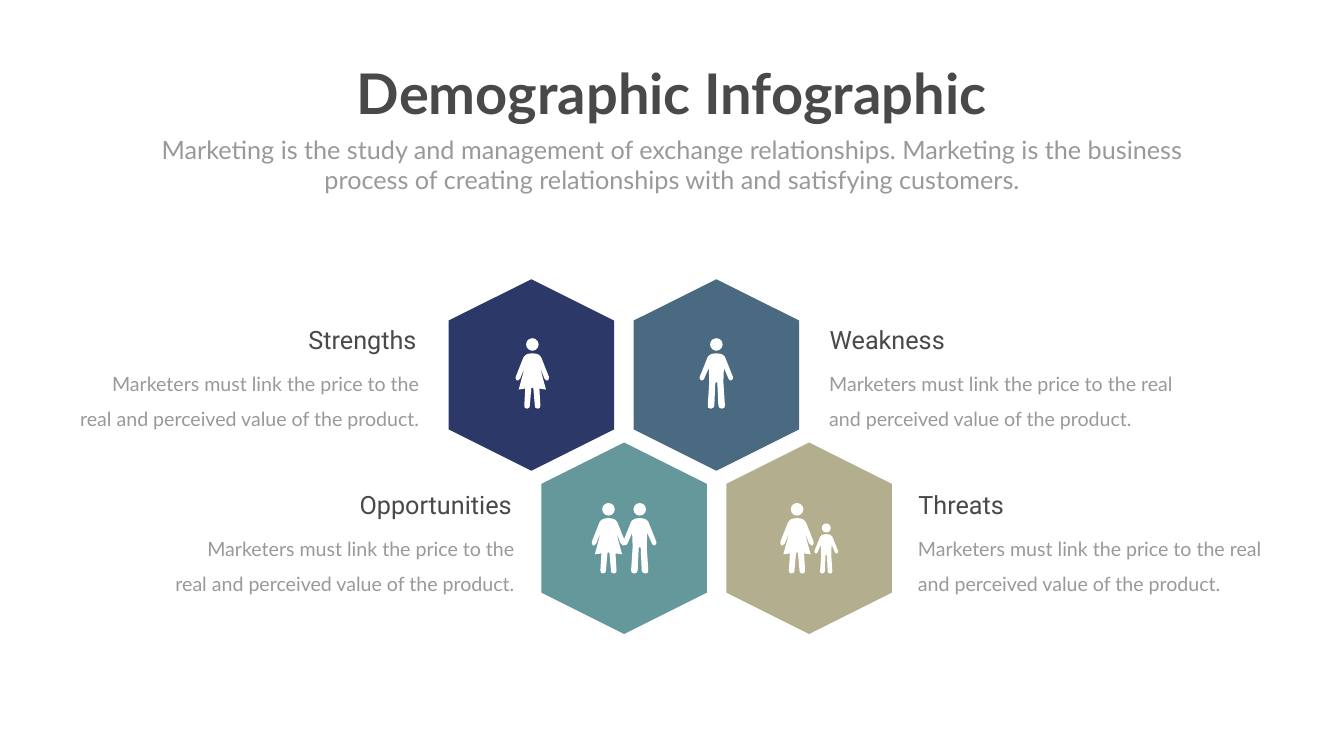
import pptx
import pptx.dml.color
import pptx.enum.shapes
import pptx.enum.text
import pptx.util

Inches = pptx.util.Inches
Shape = pptx.enum.shapes.MSO_SHAPE
Align = pptx.enum.text.PP_ALIGN

# Right half of each body, from neck to crotch: offsets from the neck in inches.
MAN = [(0, 0), (0.08, 0.01), (0.13, 0.03), (0.16, 0.06), (0.17, 0.07),
       (0.33, 0.47), (0.33, 0.5), (0.31, 0.53), (0.29, 0.54), (0.26, 0.53),
       (0.24, 0.5), (0.15, 0.29), (0.14, 0.57), (0.17, 1.03), (0.16, 1.08),
       (0.11, 1.1), (0.06, 1.08), (0.04, 1.04), (0.02, 0.59), (0, 0.57)]
WOMAN = [(0, 0), (0.08, 0.01), (0.13, 0.03), (0.16, 0.06), (0.18, 0.09),
         (0.33, 0.47), (0.33, 0.5), (0.31, 0.54), (0.28, 0.54), (0.24, 0.5),
         (0.15, 0.27), (0.27, 0.72), (0.14, 0.7), (0.16, 1.04), (0.15, 1.08),
         (0.11, 1.1), (0.06, 1.08), (0.05, 1.04), (0.02, 0.69), (0, 0.68)]


def color(value):
    """Turn a hex string into a colour."""
    return pptx.dml.color.RGBColor.from_string(value)


def write(box, text, size, ink, font="Lato", bold=False, align=Align.LEFT, spacing=None):
    """Write one formatted paragraph into a box."""
    para = box.text_frame.paragraphs[0]
    para.alignment = align
    if spacing:
        para.line_spacing = spacing
    span = para.add_run()
    span.text = text
    span.font.name = font
    span.font.size = pptx.util.Pt(size)
    span.font.bold = bold
    span.font.color.rgb = color(ink)


class Infographic:
    """Holds the style and the current slide."""

    dark, gray, white = "494949", "999999", "FFFFFF"

    def __init__(self, page):
        """Keep the page to draw on."""
        self.shapes = page.shapes

    def paint(self, shape, fill):
        """Give a shape a plain fill without line or shadow."""
        shape.shadow.inherit = False
        shape.fill.solid()
        shape.fill.fore_color.rgb = color(fill)
        shape.line.fill.background()

    def text(self, left, top, width, height, text, size, ink, wrap=True, **style):
        """Add a text box."""
        box = self.shapes.add_textbox(*map(Inches, (left, top, width, height)))
        box.text_frame.word_wrap = wrap
        box.text_frame.auto_size = pptx.enum.text.MSO_AUTO_SIZE.SHAPE_TO_FIT_TEXT
        write(box, text, size, ink, **style)

    def hexagon(self, center, middle, fill):
        """Add a hexagon standing on its point."""
        length, breadth = 3.8, 3.28
        shape = self.shapes.add_shape(
            Shape.HEXAGON, Inches(center - length / 2), Inches(middle - breadth / 2),
            Inches(length), Inches(breadth))
        shape.rotation = 90
        self.paint(shape, fill)

    def person(self, half, center, feet, scale=1):
        """Add a body, mirrored from its right half, and a head."""
        neck = feet - 1.1 * scale
        outline = half + [(-x, y) for x, y in reversed(half[1:-1])]
        points = [(Inches(center + x * scale), Inches(neck + y * scale)) for x, y in outline]
        builder = self.shapes.build_freeform(*points[0])
        builder.add_line_segments(points[1:])
        self.paint(builder.convert_to_shape(), self.white)
        head = 0.25 * scale
        shape = self.shapes.add_shape(
            Shape.OVAL, Inches(center - head / 2), Inches(neck - 0.3 * scale),
            Inches(head), Inches(head))
        self.paint(shape, self.white)

    def caption(self, edge, top, heading, on_left):
        """Add a heading and its description beside a hexagon."""
        align = Align.RIGHT if on_left else Align.LEFT
        width = 6.97 if on_left else 7.1
        self.text(edge - width if on_left else edge, top + 0.71, width, 1.42,
                  "Marketers must link the price to the real and perceived value of the product.",
                  28, self.gray, align=align, spacing=1.5)
        self.text(edge - 3.62 if on_left else edge + 0.01, top, 3.57, 0.71,
                  heading, 36, self.dark, font="Roboto", align=align)


deck = pptx.Presentation()
deck.slide_width, deck.slide_height = Inches(26.66), Inches(15)
art = Infographic(deck.slides.add_slide(deck.slide_layouts[6]))

art.text(6.86, 1.12, 12.93, 1.45, "Demographic Infographic", 80, art.dark,
         wrap=False, bold=True, align=Align.CENTER)
art.text(2.92, 2.61, 20.82, 1.31,
         "Marketing is the study and management of exchange relationships. Marketing is the "
         "business process of creating relationships with and satisfying customers.",
         36, art.gray, align=Align.CENTER)

# Heading, row, hexagon centre, fill, caption edge, people (half, offset, scale)
SEGMENTS = [
    ("Strengths", 0, 10.54, "2C3867", 8.41, [(WOMAN, 0.02, 1)]),
    ("Weakness", 0, 14.21, "496A80", 16.35, [(MAN, 0, 1)]),
    ("Opportunities", 1, 12.38, "65989B", 10.3, [(MAN, 0.31, 1), (WOMAN, -0.31, 1)]),
    ("Threats", 1, 16.05, "B3AF8E", 18.11, [(WOMAN, -0.24, 1), (MAN, 0.34, 0.71)]),
]
for heading, row, center, fill, edge, people in SEGMENTS:
    art.hexagon(center, 7.44 + 3.24 * row, fill)
    art.caption(edge, 6.38 + 3.28 * row, heading, on_left=edge < center)
    for half, offset, scale in people:
        art.person(half, center + offset, 8.11 + 3.27 * row, scale)

deck.save("out.pptx")
